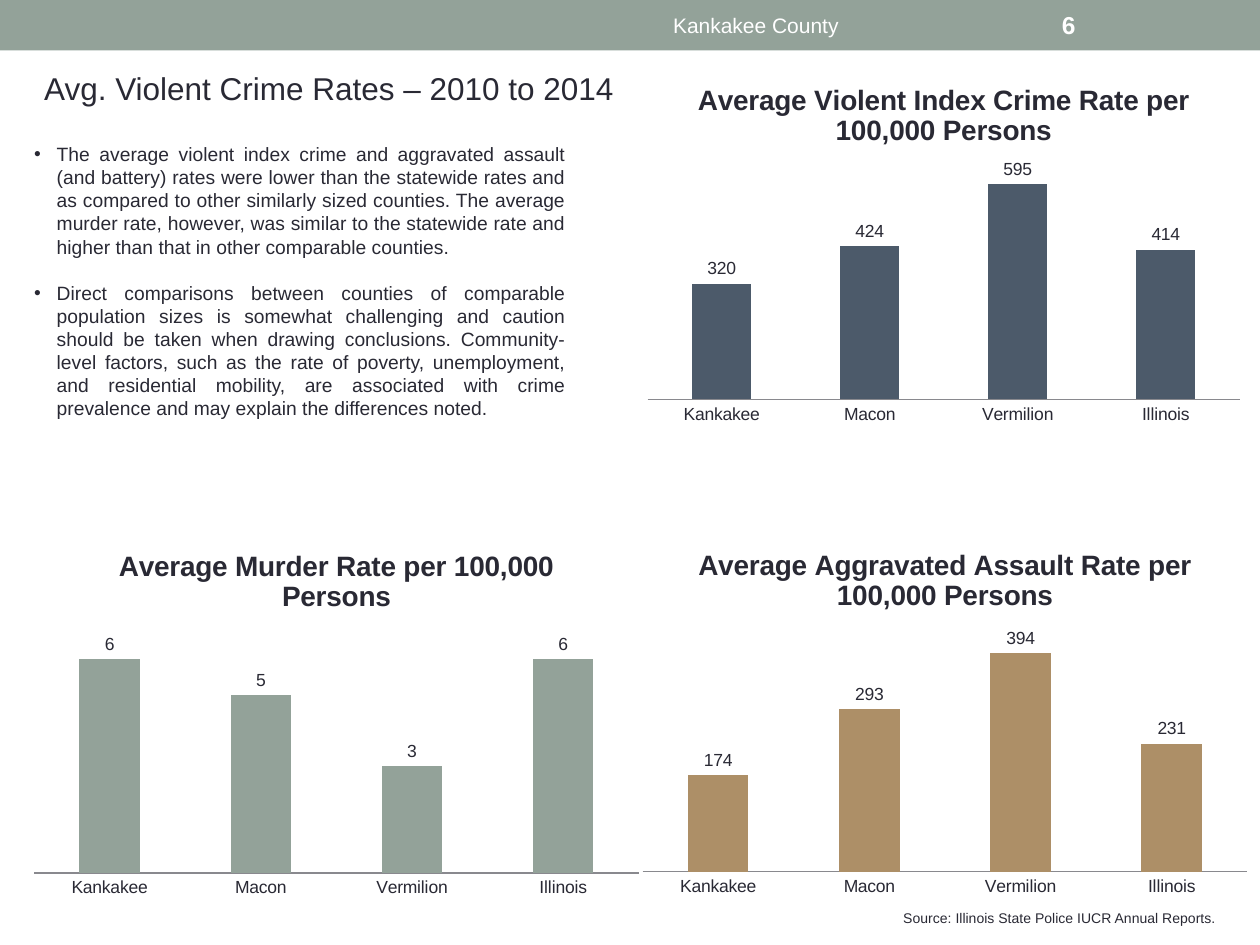
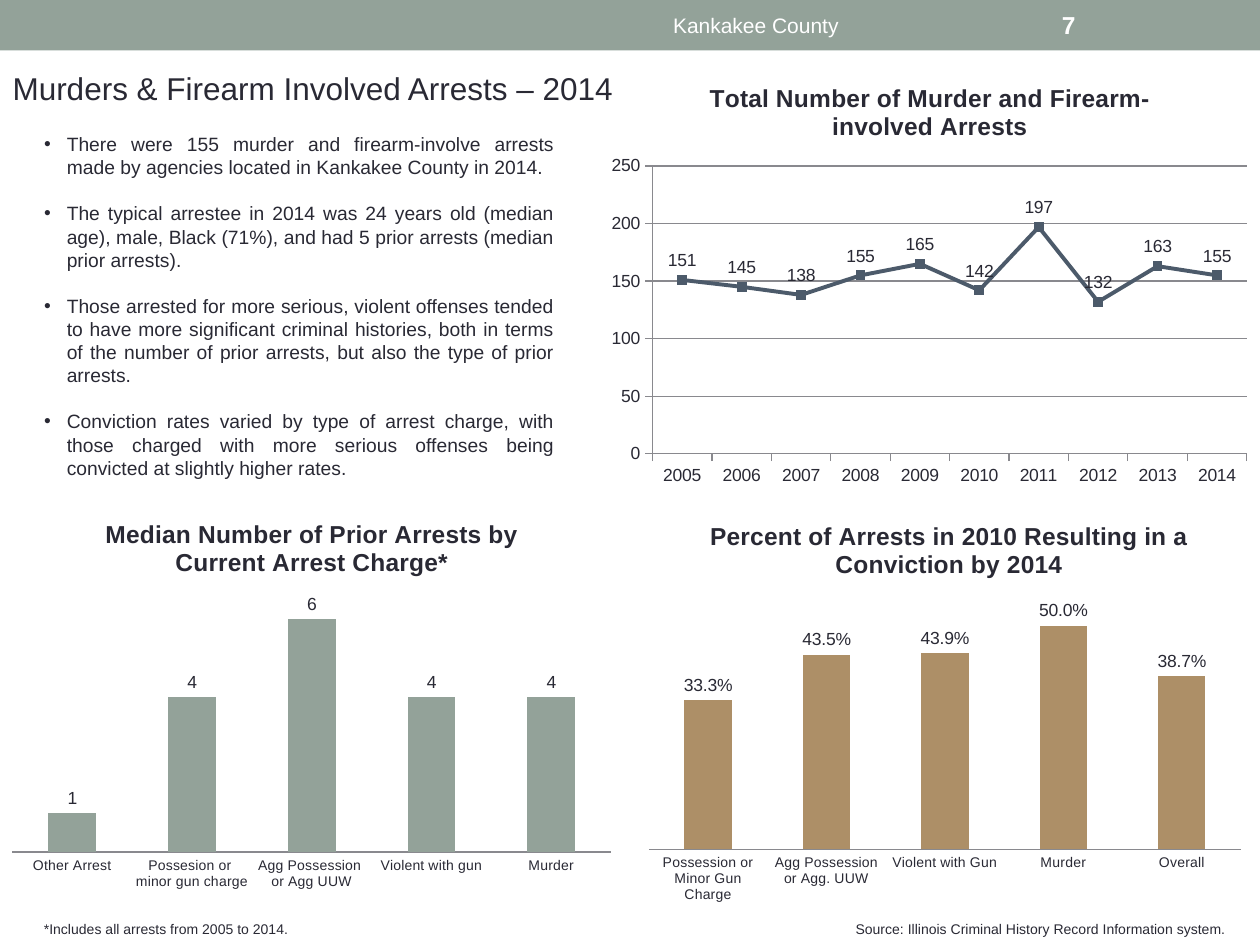
import pptx
import pptx.chart.data
import pptx.dml.color
import pptx.enum.chart
import pptx.enum.shapes
import pptx.enum.text
import pptx.oxml
import pptx.oxml.ns
import pptx.util
from pptx.util import Inches

# Shared colours
WHITE = pptx.dml.color.RGBColor(0xFF, 0xFF, 0xFF)
INK = pptx.dml.color.RGBColor(0x29, 0x29, 0x34)
SAGE = pptx.dml.color.RGBColor(0x93, 0xA2, 0x99)
SLATE = pptx.dml.color.RGBColor(0x4C, 0x5A, 0x6A)
TAN = pptx.dml.color.RGBColor(0xAD, 0x8F, 0x67)
AXIS_GRAY = pptx.dml.color.RGBColor(0x89, 0x89, 0x8E)

FONT = "Arial"
ALIGN = pptx.enum.text.PP_ALIGN
ANCHOR = pptx.enum.text.MSO_ANCHOR
TICK = pptx.enum.chart.XL_TICK_MARK
CHART_TYPE = pptx.enum.chart.XL_CHART_TYPE
LABEL_POSITION = pptx.enum.chart.XL_LABEL_POSITION


class Deck:
    """Holds the style and the current slide."""

    def __init__(self):
        self.presentation = pptx.Presentation()
        self.presentation.slide_width = Inches(10)
        self.presentation.slide_height = Inches(7.5)
        self.layout = self.presentation.slide_layouts[1]
        self.slide = None

    def add_slide(self, number):
        first = self.slide is None
        self.slide = self.presentation.slides.add_slide(self.layout)
        if first:
            self.put_band_on_layout()
        self.text("Kankakee County", (3.75, 0.02, 4.5, 0.36), 12, WHITE,
                  ALIGN.CENTER, ANCHOR.MIDDLE)
        self.text(str(number), (8.33, 0.02, 1.17, 0.36), 14, WHITE,
                  anchor=ANCHOR.MIDDLE, bold=True)

    def put_band_on_layout(self):
        band = self.slide.shapes.add_shape(
            pptx.enum.shapes.MSO_SHAPE.RECTANGLE, 0, 0, Inches(10), Inches(0.4))
        band.shadow.inherit = False
        band.fill.solid()
        band.fill.fore_color.rgb = SAGE
        band.line.fill.background()
        band.element.nvSpPr.cNvPr.set("id", "20")
        self.layout.shapes.element.insert(2, band.element)

    def place(self, shape, box):
        shape.left, shape.top, shape.width, shape.height = map(Inches, box)

    def run(self, paragraph, text, size, color=INK, bold=False):
        run = paragraph.add_run()
        run.text = text
        run.font.name = FONT
        run.font.size = pptx.util.Pt(size)
        run.font.bold = bold
        run.font.color.rgb = color

    def frame(self, shape, anchor=ANCHOR.TOP):
        frame = shape.text_frame
        frame.word_wrap = True
        frame.auto_size = pptx.enum.text.MSO_AUTO_SIZE.NONE
        frame.vertical_anchor = anchor
        return frame

    def text(self, text, box, size, color=INK, align=ALIGN.LEFT,
             anchor=ANCHOR.TOP, bold=False):
        shape = self.slide.shapes.add_textbox(*map(Inches, box))
        paragraph = self.frame(shape, anchor).paragraphs[0]
        paragraph.alignment = align
        self.run(paragraph, text, size, color, bold)

    def title(self, text, box):
        shape = self.slide.shapes.title
        self.place(shape, box)
        paragraph = self.frame(shape).paragraphs[0]
        paragraph.alignment = ALIGN.LEFT
        self.run(paragraph, text, 18)

    def bullets(self, items, box):
        shape = self.slide.placeholders[1]
        self.place(shape, box)
        frame = self.frame(shape)
        for index, item in enumerate(items):
            paragraph = frame.add_paragraph() if index else frame.paragraphs[0]
            paragraph.alignment = ALIGN.JUSTIFY
            paragraph.line_spacing = 1.0
            paragraph.space_before = pptx.util.Pt(13.2 if index else 0)
            properties = paragraph._p.get_or_add_pPr()
            properties.set("marL", str(Inches(0.18)))
            properties.set("indent", str(-Inches(0.18)))
            self.run(paragraph, item, 11)

    def set_layout(self, part, index, target, **fractions):
        """Fix the place of a chart part, in fractions of the chart."""
        for old in part.findall(pptx.oxml.ns.qn("c:layout")):
            part.remove(old)
        sizes = "".join(f'<c:{tag} val="{value}"/>' for tag, value in fractions.items())
        part.insert(index, pptx.oxml.parse_xml(
            f'<c:layout {pptx.oxml.ns.nsdecls("c")}><c:manualLayout>{target}'
            '<c:xMode val="edge"/><c:yMode val="edge"/>'
            f'{sizes}</c:manualLayout></c:layout>'))

    def chart(self, kind, title, title_size, box, plot, categories, series,
              maximum, number_format, category_size):
        data = pptx.chart.data.CategoryChartData()
        data.categories = categories
        for number, values in enumerate(series, 1):
            data.add_series(f"Series {number}", values)
        chart = self.slide.shapes.add_chart(kind, *map(Inches, box), data).chart
        chart.has_legend = False
        chart.font.name = FONT
        chart.font.size = pptx.util.Pt(10)
        chart.font.color.rgb = INK
        chart.has_title = True
        self.run(chart.chart_title.text_frame.paragraphs[0], title, title_size, bold=True)
        chart.chart_title.include_in_layout = False
        self.set_layout(chart._chartSpace.chart.plotArea, 0,
                        '<c:layoutTarget val="inner"/>', **dict(zip("xywh", plot)))

        # Axes
        chart.value_axis.minimum_scale = 0
        chart.value_axis.maximum_scale = maximum
        chart.value_axis.has_major_gridlines = False
        chart.category_axis.major_tick_mark = TICK.NONE
        chart.category_axis.tick_labels.font.size = pptx.util.Pt(category_size)
        self.gray_line(chart.category_axis.format.line)

        # Value labels
        chart.plots[0].vary_by_categories = False
        chart.plots[0].has_data_labels = True
        labels = chart.plots[0].data_labels
        labels.show_value = True
        labels.number_format = number_format
        labels.number_format_is_linked = False
        return chart

    def gray_line(self, line):
        line.color.rgb = AXIS_GRAY
        line.width = pptx.util.Pt(0.75)

    def column_chart(self, title, title_size, box, plot, categories, values,
                     maximum, color, number_format="#,##0", category_size=10):
        chart = self.chart(CHART_TYPE.COLUMN_CLUSTERED, title, title_size, box, plot,
                           categories, [values], maximum, number_format, category_size)
        chart.value_axis.visible = False
        columns = chart.plots[0]
        columns.gap_width = 150
        columns.overlap = -25
        columns.data_labels.position = LABEL_POSITION.OUTSIDE_END
        fill = columns.series[0].format.fill
        fill.solid()
        fill.fore_color.rgb = color
        return chart

    def line_chart(self, title, title_size, box, plot, categories, series,
                   maximum, step, color):
        chart = self.chart(CHART_TYPE.LINE_MARKERS, title, title_size, box, plot,
                           categories, series, maximum, "###0", 10)
        axis = chart.value_axis
        axis.major_unit = step
        axis.has_major_gridlines = True
        axis.major_tick_mark = chart.category_axis.major_tick_mark = TICK.OUTSIDE
        self.gray_line(axis.format.line)
        self.gray_line(axis.major_gridlines.format.line)
        chart.plots[0].data_labels.position = LABEL_POSITION.ABOVE
        for line in chart.plots[0].series:
            line.smooth = False
            line.format.line.color.rgb = color
            line.format.line.width = pptx.util.Pt(2.25)
            line.marker.style = pptx.enum.chart.XL_MARKER_STYLE.SQUARE
            line.marker.size = 5
            line.marker.format.fill.solid()
            line.marker.format.fill.fore_color.rgb = color
            line.marker.format.line.color.rgb = color


def add_crime_rates(deck):
    deck.add_slide(6)
    deck.title("Avg. Violent Crime Rates – 2010 to 2014", (0.25, 0.5, 4.75, 0.4))
    deck.bullets([
        "The average violent index crime and aggravated assault (and battery) rates were "
        "lower than the statewide rates and as compared to other similarly sized counties. "
        "The average murder rate, however, was similar to the statewide rate and higher "
        "than that in other comparable counties.",
        "Direct comparisons between counties of comparable population sizes is somewhat "
        "challenging and caution should be taken when drawing conclusions. Community-level "
        "factors, such as the rate of poverty, unemployment, and residential mobility, are "
        "associated with crime prevalence and may explain the differences noted.",
    ], (0.17, 1.08, 4.42, 2.32))
    counties = ["Kankakee", "Macon", "Vermilion", "Illinois"]
    lower_plot = (0.02, 0.25, 0.96, 0.66)
    for offence, left, top, plot, values, maximum, color in (
        ("Aggravated Assault", 5, 4.19, lower_plot, (174, 293, 394, 231), 450, TAN),
        ("Murder", 0.17, 4.2, lower_plot, (6, 5, 3, 6), 7, SAGE),
        ("Violent Index Crime", 4.99, 0.5, (0.03, 0.22, 0.94, 0.67),
         (320, 424, 595, 414), 700, SLATE),
    ):
        deck.column_chart(f"Average {offence} Rate per 100,000 Persons", 16,
                          (left, top, 5, 3), plot, counties, values, maximum, color)
    deck.text("Source: Illinois State Police IUCR Annual Reports.",
              (5.92, 7.17, 3.83, 0.24), 8, align=ALIGN.RIGHT)


def add_firearm_arrests(deck):
    deck.add_slide(7)
    deck.title("Murders & Firearm Involved Arrests – 2014", (0, 0.5, 5, 0.4))
    deck.bullets([
        "There were 155 murder and firearm-involve arrests made by agencies located in "
        "Kankakee County in 2014.",
        "The typical arrestee in 2014 was 24 years old (median age), male, Black (71%), "
        "and had 5 prior arrests (median prior arrests).",
        "Those arrested for more serious, violent offenses tended to have more significant "
        "criminal histories, both in terms of the number of prior arrests, but also the "
        "type of prior arrests.",
        "Conviction rates varied by type of arrest charge, with those charged with more "
        "serious offenses being convicted at slightly higher rates.",
    ], (0.25, 1, 4.25, 3.06))
    deck.column_chart(
        "Median Number of Prior Arrests by Current Arrest Charge*", 14,
        (0, 3.96, 4.95, 3.42), (0.02, 0.19, 0.96, 0.63),
        ["Other Arrest", "Possesion or \nminor gun charge", "Agg Possession \nor Agg UUW",
         "Violent with gun", "Murder"],
        (1, 4, 6, 4, 4), 7, SAGE, category_size=8)

    # The arrest counts are the tenth series; the nine before it have no values
    years = [str(year) for year in range(2005, 2015)]
    arrests = (151, 145, 138, 155, 165, 142, 197, 132, 163, 155)
    deck.line_chart(
        "Total Number of Murder and Firearm-involved Arrests", 14,
        (4.76, 0.5, 5.24, 3.41), (0.08, 0.24, 0.9, 0.67),
        years, [[None] * len(years)] * 9 + [arrests], 250, 50, SLATE)
    convictions = deck.column_chart(
        "Percent of Arrests in 2010 Resulting in a Conviction by 2014", 14,
        (5, 4.06, 5, 3.44), (0.03, 0.16, 0.94, 0.62),
        ["Possession or Minor Gun Charge", "Agg Possession or Agg. UUW",
         "Violent with Gun", "Murder", "Overall"],
        (0.333, 0.435, 0.439, 0.5, 0.387), 0.6, TAN, "###0.0%", 8)
    deck.set_layout(convictions.chart_title._element, 1, "", x=0.12, y=0.01)
    deck.text("Source: Illinois Criminal History Record Information system.",
              (6, 7.26, 3.83, 0.24), 8, align=ALIGN.RIGHT)
    deck.text("*Includes all arrests from 2005 to 2014.", (0.25, 7.26, 3.83, 0.24), 8)


def main():
    deck = Deck()
    add_crime_rates(deck)
    add_firearm_arrests(deck)
    deck.presentation.save("out.pptx")


if __name__ == "__main__":
    main()
